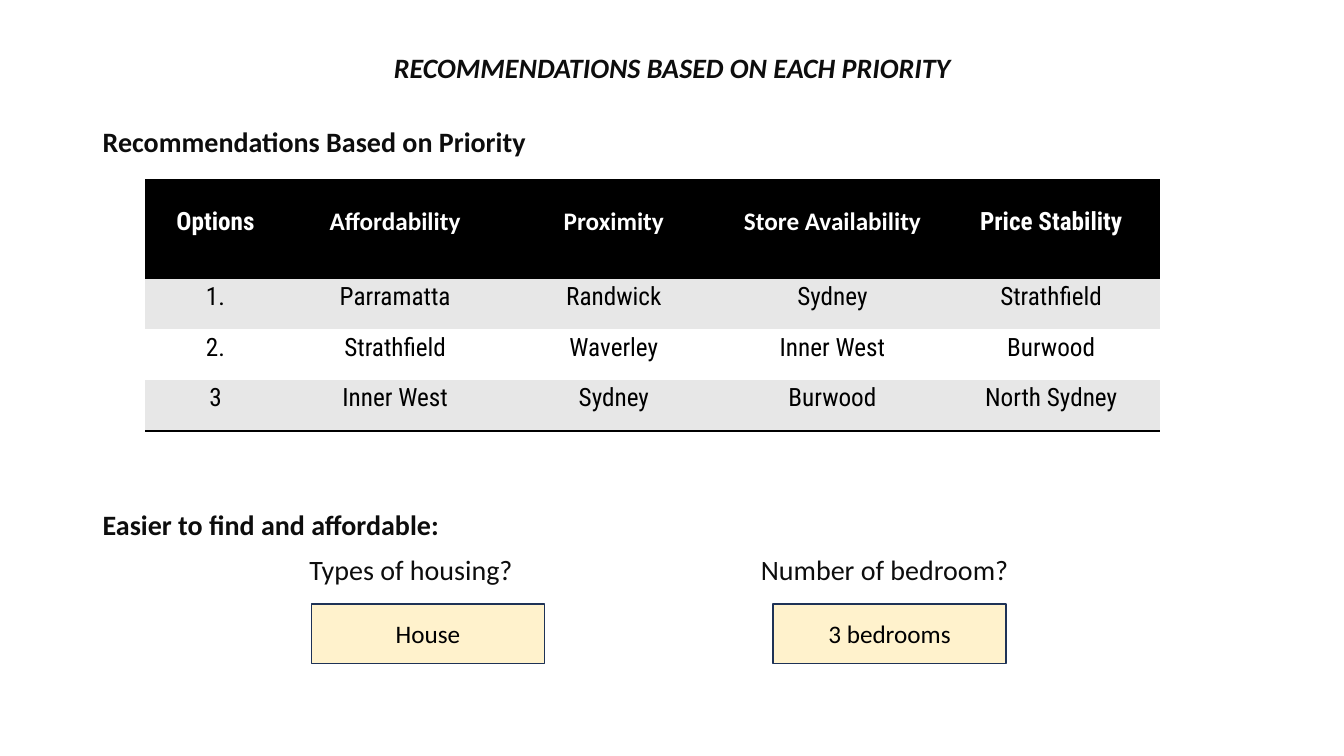
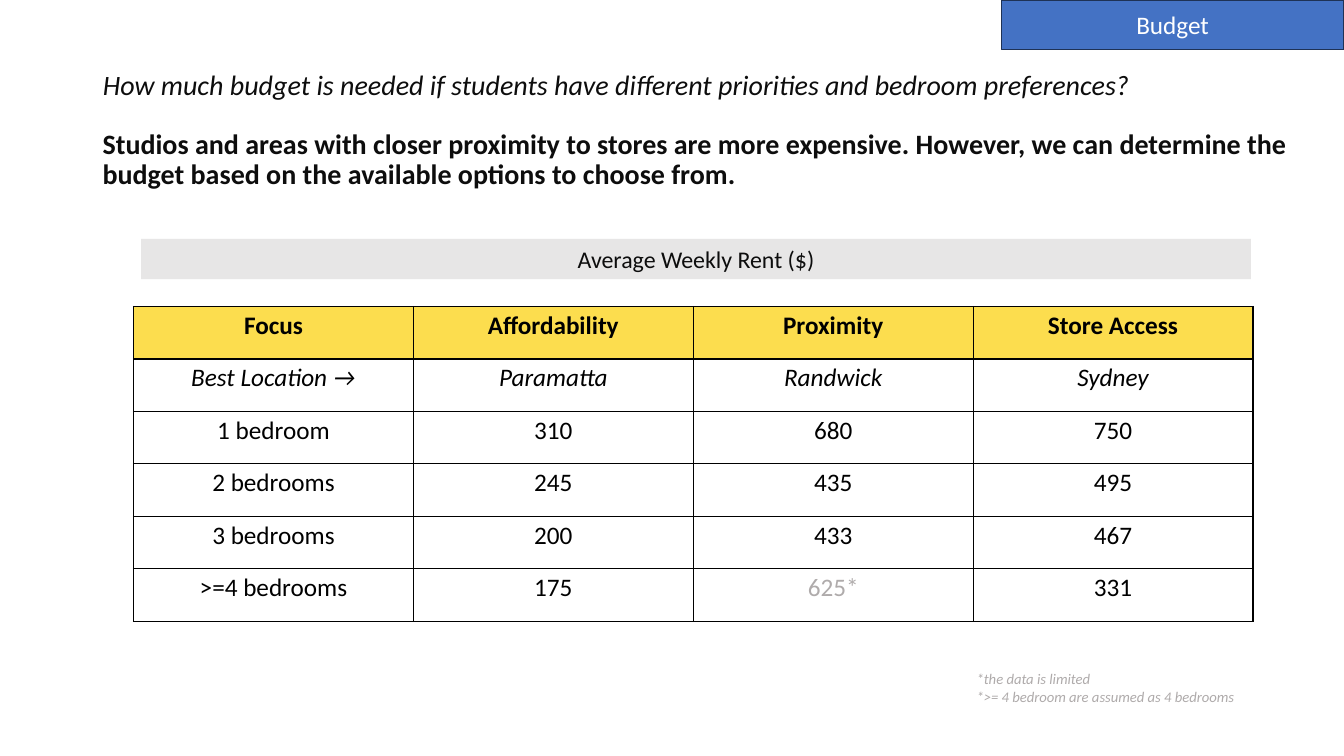
import lxml.etree
import pptx
import pptx.dml.color
import pptx.enum.shapes
import pptx.enum.text
import pptx.oxml.ns
import pptx.util

Pt = pptx.util.Pt
Align = pptx.enum.text.PP_ALIGN
MIDDLE = pptx.enum.text.MSO_ANCHOR.MIDDLE
TOP = pptx.enum.text.MSO_ANCHOR.TOP

BODY_FONT = "Calibri"
TABLE_FONT = "Roboto Condensed"
BLACK, WHITE, INK = "000000", "FFFFFF", "0D0D0D"
GREY_TEXT, GREY_ROW, GREY_BAND = "AFABAB", "E7E7E7", "E7E6E6"
YELLOW, CREAM, BLUE, NAVY = "FCDD4E", "FFF2CC", "4472C4", "1E3256"
MARGIN = 66.24
NO_GRID_STYLE = "{2D5ABB26-0587-4C30-8999-92F81FD0307C}"


def color(value):
    return pptx.dml.color.RGBColor.from_string(value)


def write(frame, lines, size=20, ink=INK, bold=False, italic=False,
          align=Align.LEFT, font=BODY_FONT, anchor=MIDDLE, spacing=None):
    frame.word_wrap = True
    frame.vertical_anchor = anchor
    for index, line in enumerate(lines):
        para = frame.add_paragraph() if index else frame.paragraphs[0]
        para.alignment = align
        if spacing:
            para.line_spacing = spacing
        span = para.add_run()
        span.text = line
        span.font.name = font
        span.font.size = Pt(size)
        span.font.bold = bold
        span.font.italic = italic
        span.font.color.rgb = color(ink)


deck = pptx.Presentation()
deck.slide_width, deck.slide_height = Pt(960), Pt(540)

# Pages and titles
titles = [
    ("RECOMMENDATIONS BASED ON EACH PRIORITY", 36.72, True, Align.CENTER),
    ("How much budget is needed if students have different priorities "
     "and bedroom preferences?", 48.96, False, Align.LEFT),
]
pages = []
for text, top, bold, align in titles:
    page = deck.slides.add_slide(deck.slide_layouts[5])
    title = page.shapes.title
    title.left, title.top, title.width, title.height = Pt(MARGIN), Pt(top), Pt(828), Pt(25.92)
    write(title.text_frame, [text], bold=bold, italic=True, align=align, spacing=0.9)
    pages.append(page)
priority_page, budget_page = pages

# Tables: page, left, top, column widths, row heights, cell texts
priority_rows = [
    ["Options", "Affordability", "Proximity", "Store Availability", "Price Stability"],
    ["1.", "Parramatta", "Randwick", "Sydney", "Strathfield"],
    ["2.", "Strathfield", "Waverley", "Inner West", "Burwood"],
    ["3", "Inner West", "Sydney", "Burwood", "North Sydney"],
]
rent_rows = [
    ["Focus", "Affordability", "Proximity", "Store Access"],
    ["Best Location →", "Paramatta", "Randwick", "Sydney"],
    ["1 bedroom", "310", "680", "750"],
    ["2 bedrooms", "245", "435", "495"],
    ["3 bedrooms", "200", "433", "467"],
    [">=4 bedrooms", "175", "625*", "331"],
]
tables = [
    (priority_page, 103.68, 129, [100.5] + [156.2] * 4, [69.6] + [36.4] * 3, priority_rows),
    (budget_page, 95.4, 218.88, [199.9] * 4, [37.5] * 6, rent_rows),
]
for page, left, top, widths, heights, rows in tables:
    is_priority = page is priority_page
    holder = page.shapes.add_table(len(rows), len(widths), Pt(left), Pt(top),
                                   Pt(sum(widths)), Pt(sum(heights)))
    table = holder.table
    table.first_row = table.horz_banding = False
    for style in holder._element.iter(pptx.oxml.ns.qn("a:tableStyleId")):
        style.text = NO_GRID_STYLE
    for column, width in zip(table.columns, widths):
        column.width = Pt(width)
    for row, height in zip(table.rows, heights):
        row.height = Pt(height)

    for r, texts in enumerate(rows):
        is_header = r == 0
        if is_priority:
            fill = BLACK if is_header else GREY_ROW if r % 2 else WHITE
            edges = ["lnT", "lnB"] if is_header else ["lnB"] if r == len(rows) - 1 else []
        else:
            fill = YELLOW if is_header else WHITE
            edges = ["lnL", "lnR", "lnT", "lnB"]
        for c, text in enumerate(texts):
            cell = table.cell(r, c)
            cell.margin_left = cell.margin_right = cell.margin_top = Pt(2.6)
            cell.margin_bottom = Pt(12.6)
            cell.vertical_anchor = MIDDLE

            # Borders come before the fill
            properties = cell._tc.get_or_add_tcPr()
            for edge in edges:
                line = lxml.etree.SubElement(properties, pptx.oxml.ns.qn("a:" + edge),
                                             w=str(Pt(2 if is_priority else 1)))
                solid = lxml.etree.SubElement(line, pptx.oxml.ns.qn("a:solidFill"))
                lxml.etree.SubElement(solid, pptx.oxml.ns.qn("a:srgbClr"), val=BLACK)
            cell.fill.solid()
            cell.fill.fore_color.rgb = color(fill)

            ink = WHITE if is_priority and is_header else GREY_TEXT if text == "625*" else BLACK
            calibri = not is_priority or (is_header and 1 <= c <= 3)
            write(cell.text_frame, [text], 18, ink, bold=is_header,
                  italic=not is_priority and r == 1, align=Align.CENTER,
                  font=BODY_FONT if calibri else TABLE_FONT)

# Headings and questions: page, left, top, width, bold, text
labels = [
    (priority_page, MARGIN, 89.28, 882.72, True, "Recommendations Based on Priority"),
    (priority_page, MARGIN, 362.88, 882.72, True, "Easier to find and affordable:"),
    (priority_page, 213.84, 395.28, 213.84, False, "Types of housing?"),
    (priority_page, 536.4, 395.28, 198, False, "Number of bedroom?"),
    (budget_page, MARGIN, 101.52, 882.72, True,
     "Studios and areas with closer proximity to stores are more expensive. However, "
     "we can determine the budget based on the available options to choose from."),
]
for page, left, top, width, bold, text in labels:
    box = page.shapes.add_textbox(Pt(left), Pt(top), Pt(width), Pt(25.92))
    write(box.text_frame, [text], bold=bold, spacing=0.9)

# Footnotes
box = budget_page.shapes.add_textbox(Pt(690.48), Pt(475.2), Pt(221.76), Pt(32.4))
write(box.text_frame, ["*the data is limited", "*>= 4 bedroom are assumed as 4 bedrooms"],
      10.5, GREY_TEXT, italic=True, anchor=TOP)

# Answer boxes, rent band and section tag
blocks = [
    (priority_page, 222.48, 431.28, 166.32, 42.48, CREAM, NAVY, "House", 18, BLACK),
    (priority_page, 552.24, 431.28, 166.32, 42.48, CREAM, NAVY, "3 bedrooms", 18, BLACK),
    (budget_page, 100.8, 170.64, 792.72, 28.8, GREY_BAND, None, "Average Weekly Rent ($)", 17.1, INK),
    (budget_page, 715.2, 0, 244.8, 35.28, BLUE, NAVY, "Budget", 18, WHITE),
]
for page, left, top, width, height, fill, outline, text, size, ink in blocks:
    block = page.shapes.add_shape(pptx.enum.shapes.MSO_SHAPE.RECTANGLE,
                                  Pt(left), Pt(top), Pt(width), Pt(height))
    block.shadow.inherit = False
    block.fill.solid()
    block.fill.fore_color.rgb = color(fill)
    if outline:
        block.line.color.rgb = color(outline)
        block.line.width = Pt(1)
    else:
        block.line.fill.background()
    write(block.text_frame, [text], size, ink, align=Align.CENTER)

deck.save("out.pptx")
